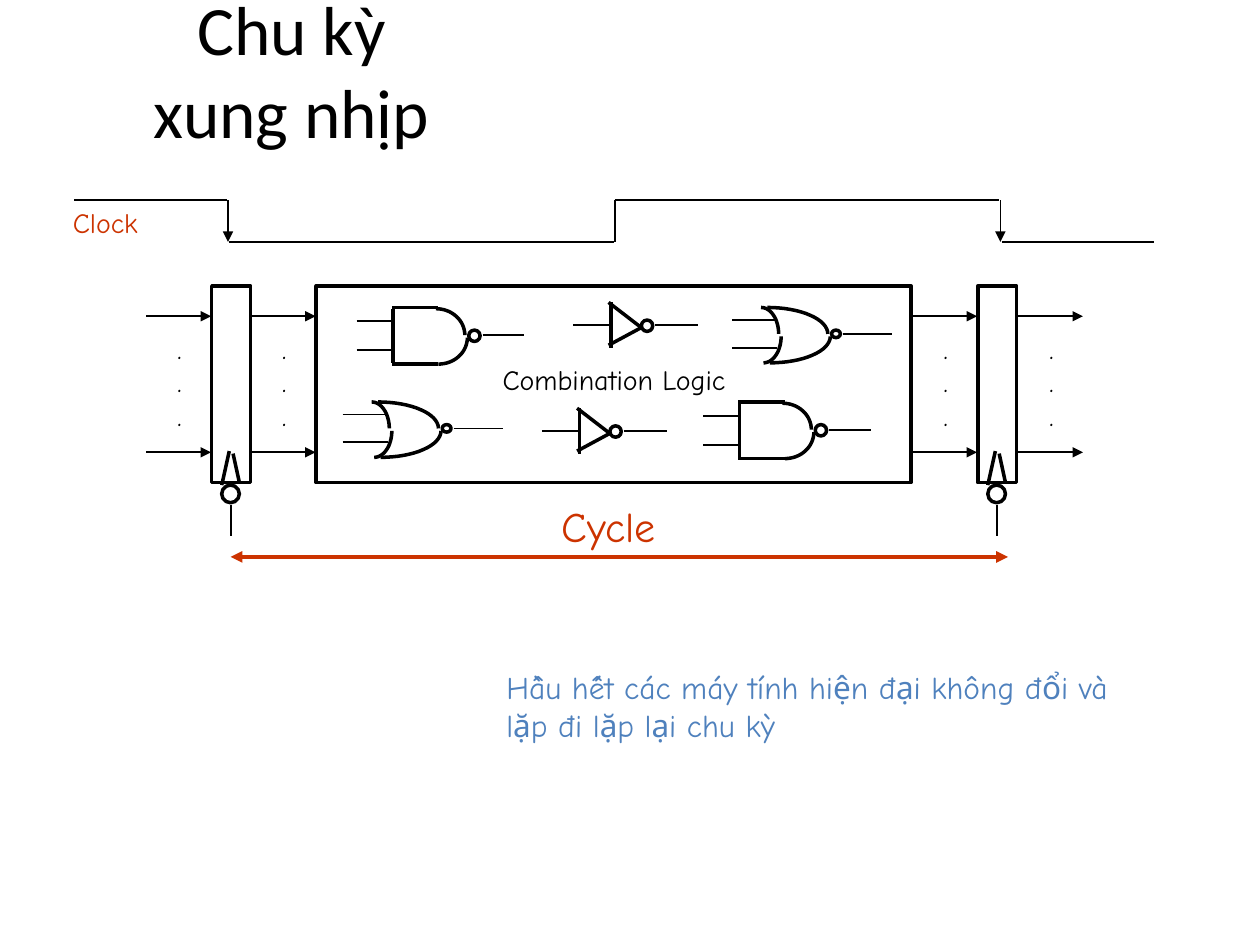
import math

import pptx
import pptx.dml.color
import pptx.enum.shapes
import pptx.enum.text
import pptx.oxml
import pptx.oxml.ns
import pptx.util

Inches = pptx.util.Inches
Pt = pptx.util.Pt
Shape = pptx.enum.shapes.MSO_SHAPE
Align = pptx.enum.text.PP_ALIGN
BLACK = pptx.dml.color.RGBColor(0x00, 0x00, 0x00)
RED = pptx.dml.color.RGBColor(0xCC, 0x33, 0x00)
BLUE = pptx.dml.color.RGBColor(0x4F, 0x81, 0xBD)


class Diagram:
    title_font = "Calibri"
    body_font = "Comic Neue"
    thin = 1
    thick = 2
    arc_steps = 16

    def __init__(self, page):
        self.page = page

    def line(self, x1, y1, x2, y2, width=thin, color=BLACK, ends=()):
        connector = self.page.shapes.add_connector(
            pptx.enum.shapes.MSO_CONNECTOR.STRAIGHT,
            Inches(x1), Inches(y1), Inches(x2), Inches(y2))
        connector.line.width = Pt(width)
        connector.line.color.rgb = color
        outline = connector.line._get_or_add_ln()
        for end in ends:
            arrowhead = pptx.oxml.parse_xml(
                f'<a:{end} {pptx.oxml.ns.nsdecls("a")} type="triangle"/>')
            outline.append(arrowhead)
        connector._element.spPr.append(
            pptx.oxml.parse_xml(f'<a:effectLst {pptx.oxml.ns.nsdecls("a")}/>'))

    def outline(self, shape):
        shape.shadow.inherit = False
        shape.fill.background()
        shape.line.color.rgb = BLACK
        shape.line.width = Pt(self.thick)

    def shape(self, kind, left, top, width, height):
        self.outline(self.page.shapes.add_shape(
            kind, Inches(left), Inches(top), Inches(width), Inches(height)))

    def quarter_arc(self, left, top, width, height, lower=False):
        points = []
        for step in range(self.arc_steps + 1):
            angle = math.pi / 2 * step / self.arc_steps
            drop = height * math.cos(angle)
            y = top + drop if lower else top + height - drop
            points.append((Inches(left + width * math.sin(angle)), Inches(y)))
        builder = self.page.shapes.build_freeform(*points[0])
        builder.add_line_segments(points[1:], close=False)
        self.outline(builder.convert_to_shape())

    def text(self, left, top, width, height, lines, size, color=BLACK,
             font=body_font, align=Align.LEFT, wrap=False, fit=True):
        box = self.page.shapes.add_textbox(
            Inches(left), Inches(top), Inches(width), Inches(height))
        frame = box.text_frame
        frame.word_wrap = wrap
        if fit:
            frame.auto_size = pptx.enum.text.MSO_AUTO_SIZE.SHAPE_TO_FIT_TEXT
        else:
            frame.vertical_anchor = pptx.enum.text.MSO_ANCHOR.MIDDLE
        frame.text = "\n".join(lines)
        for para in frame.paragraphs:
            para.alignment = align
            para.font.name = font
            para.font.size = Pt(size)
            para.font.color.rgb = color

    def wires(self, x, y, input_start, input_end, inputs, output):
        for level in inputs:
            self.line(x + input_start, y + level, x + input_end, y + level)
        start, end, level = output
        self.line(x + start, y + level, x + end, y + level)

    def nand_gate(self, x, y):
        self.shape(Shape.OVAL, x + 0.61, y + 0.18, 0.09, 0.09)
        self.quarter_arc(x + 0.35, y + 0.01, 0.23, 0.21)
        self.quarter_arc(x + 0.37, y + 0.24, 0.23, 0.21, lower=True)
        for level in (0, 0.45):
            self.line(x + 0.37, y + level, x, y + level, self.thick)
        self.line(x + 0.01, y + 0.01, x + 0.01, y + 0.44, self.thick)
        self.wires(x, y, -0.28, 0.02, (0.11, 0.34), (0.72, 1.05, 0.22))

    def nor_gate(self, x, y):
        for offset, width in ((0.05, 0.48), (0, 0.14)):
            self.quarter_arc(x + offset, y, width, 0.21)
            self.quarter_arc(x + offset + 0.02, y + 0.23, width, 0.21, lower=True)
        self.shape(Shape.OVAL, x + 0.56, y + 0.18, 0.07, 0.06)
        self.wires(x, y, -0.23, 0.13, (0.1, 0.32), (0.65, 1.04, 0.21))

    def not_gate(self, x, y):
        self.shape(Shape.OVAL, x + 0.26, y + 0.14, 0.09, 0.09)
        for corner in (0, 0.34):
            self.line(x + 0.26, y + 0.2, x, y + corner, self.thick)
        self.line(x + 0.02, y + 0.36, x + 0.02, y, self.thick)
        self.wires(x, y, -0.28, 0.02, (0.18,), (0.37, 0.71, 0.18))

    def register(self, x):
        self.shape(Shape.RECTANGLE, x, 2.27, 0.31, 1.56)
        self.line(x + 0.155, 4.01, x + 0.155, 4.25)
        self.line(x + 0.08, 3.85, x + 0.14, 3.58, self.thick)
        self.line(x + 0.17, 3.6, x + 0.22, 3.83, self.thick)
        self.shape(Shape.OVAL, x + 0.08, 3.85, 0.14, 0.14)

    def signal_bundle(self, x):
        for level in (2.51, 3.59):
            self.line(x, level, x + 0.515, level, ends=("tailEnd",))
        self.text(x + 0.15, 2.58, 0.25, 0.9, "...", 16)


def main():
    deck = pptx.Presentation()
    deck.slide_width = Inches(10)
    deck.slide_height = Inches(7.5)
    diagram = Diagram(deck.slides.add_slide(deck.slide_layouts[6]))

    diagram.text(0.95, 0.35, 2.73, 0.4, ["Chu kỳ xung nhịp"], 39.6,
                 font=diagram.title_font, align=Align.CENTER, wrap=True, fit=False)

    high, low = 1.59, 1.92
    for start, end, level in ((0.59, 1.8, high), (1.82, 4.87, low),
                              (4.88, 7.93, high), (7.95, 9.16, low)):
        diagram.line(start, level, end, level)
    for falling_edge in (1.81, 7.94):
        diagram.line(falling_edge, high, falling_edge, low, ends=("tailEnd",))
    diagram.line(4.88, low, 4.88, high)
    diagram.text(0.48, 1.58, 0.74, 0.36, ["Clock"], 16, RED)

    for register_left in (1.68, 7.76):
        diagram.register(register_left)
    for bundle_left in (1.16, 1.99, 7.24, 8.08):
        diagram.signal_bundle(bundle_left)

    diagram.shape(Shape.RECTANGLE, 2.51, 2.27, 4.72, 1.56)
    diagram.text(3.89, 2.83, 2.05, 0.36, ["Combination Logic"], 16)
    for gate, places in ((diagram.nand_gate, ((3.11, 2.44), (5.86, 3.19))),
                         (diagram.nor_gate, ((2.95, 3.19), (6.04, 2.44))),
                         (diagram.not_gate, ((4.58, 3.24), (4.83, 2.4)))):
        for x, y in places:
            gate(x, y)

    diagram.line(1.83, 4.42, 8, 4.42, 2.25, RED, ("headEnd", "tailEnd"))
    diagram.text(1.83, 3.92, 6, 0.5, ["Cycle"], 24, RED,
                 align=Align.CENTER, wrap=True)
    diagram.text(3.92, 5.25, 5.33, 0.71,
                 ["Hầu hết các máy tính hiện đại không đổi và lặp đi lặp lại chu kỳ"],
                 18, BLUE, wrap=True)

    deck.save("out.pptx")


if __name__ == "__main__":
    main()
